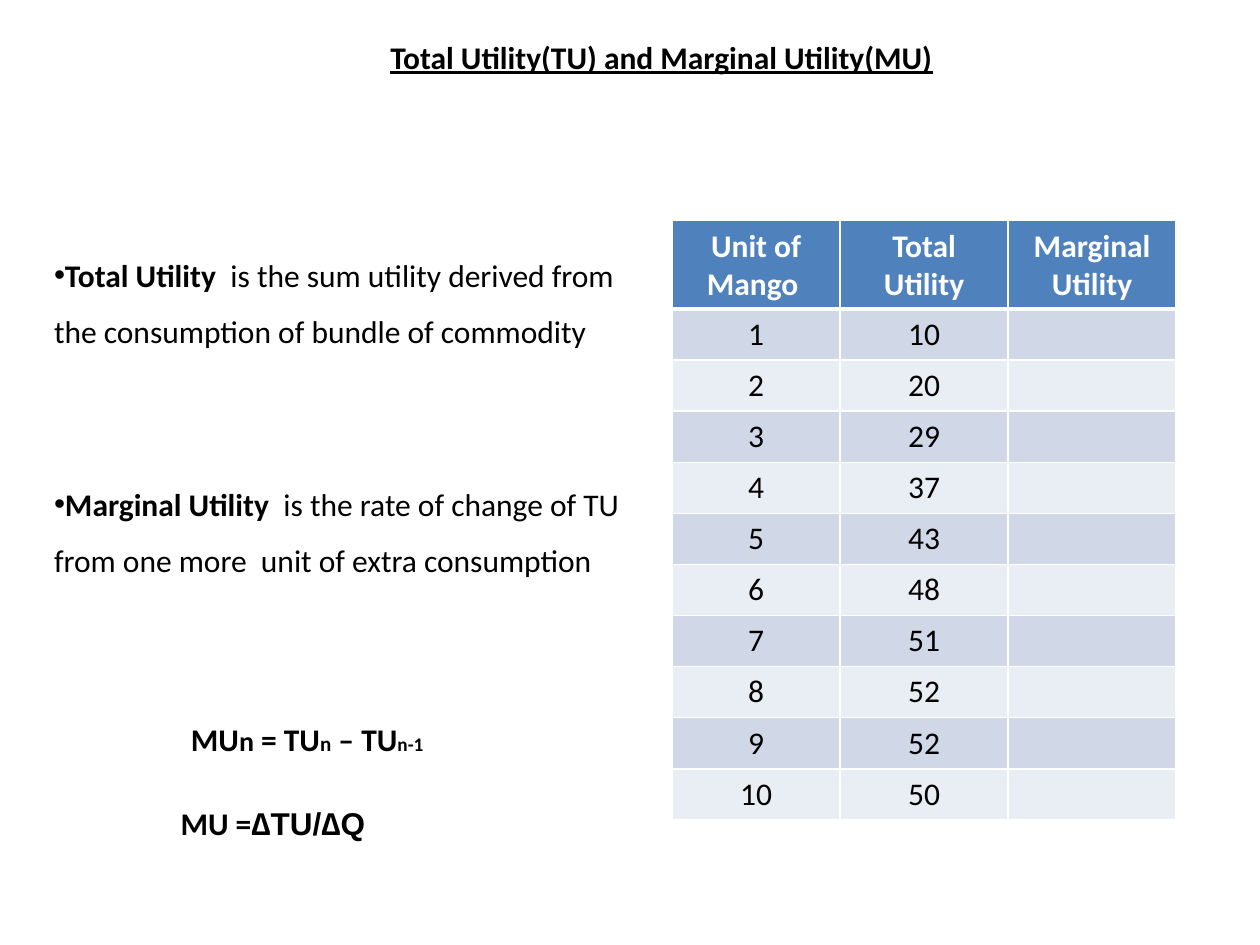
from lxml import etree
from pptx import Presentation
from pptx.dml.color import RGBColor
from pptx.enum import text as t
from pptx.oxml import ns
from pptx.util import Cm, Pt

BLACK, WHITE, BLUE = "000000", "FFFFFF", "4F81BD"
BANDS = ("D0D8E8", "E9EDF4")
HEADS = ("Unit of Mango ", "Total Utility", "Marginal Utility")
TOTALS = (10, 20, 29, 37, 43, 48, 51, 52, 52, 50)


def rgb(code):
    return RGBColor.from_string(code)


def style(run, size=18, bold=False, color=BLACK, face="Calibri"):
    font = run.font
    font.name, font.size, font.bold = face, Pt(size), bold
    font.color.rgb = rgb(color)


def write(para, parts):
    """Add runs from pairs of wording and style options."""
    for words, look in parts:
        run = para.add_run()
        run.text = words
        style(run, **look)


def add_box(slide, left, top, width, height, *paras):
    """Add a wrapping text box and return its paragraphs."""
    box = slide.shapes.add_textbox(Cm(left), Cm(top), Cm(width), Cm(height))
    frame = box.text_frame
    frame.word_wrap = True
    for i, parts in enumerate(paras):
        write(frame.add_paragraph() if i else frame.paragraphs[0], parts)
    return frame.paragraphs


def add_title(slide, words):
    para = add_box(slide, 0, 0.64, 25.4, 1.02, [(words, {"bold": True})])[0]
    para.alignment = t.PP_ALIGN.CENTER
    para.runs[0].font.underline = True
    props = para._p.get_or_add_pPr()
    props.set("marL", str(Cm(2.39)))
    props.set("indent", str(Cm(-1.12)))


def add_terms(slide, *terms):
    """Add bulleted definitions, each a bold term and its meaning."""
    paras = [[(term, {"bold": True}), (sense, {})] for term, sense in terms]
    for i, para in enumerate(add_box(slide, 0.84, 4.65, 12.07, 7.19, *paras)):
        para.line_spacing = 1.5
        if i:
            para.space_before = Pt(66)
        props = para._p.get_or_add_pPr()
        face = etree.SubElement(props, ns.qn("a:buFont"))
        face.set("typeface", "Arial")
        mark = etree.SubElement(props, ns.qn("a:buChar"))
        mark.set("char", "•")


def edge(cell, top, base):
    """Draw white borders, with top and base widths in points."""
    props = cell._tc.get_or_add_tcPr()
    for side, width in zip("LRTB", (1, 1, top, base)):
        line = etree.SubElement(props, ns.qn(f"a:ln{side}"), w=str(Pt(width)))
        fill = etree.SubElement(line, ns.qn("a:solidFill"))
        etree.SubElement(fill, ns.qn("a:srgbClr"), val=WHITE)


def add_grid(slide, rows):
    frame = slide.shapes.add_table(len(rows), len(HEADS), Cm(13.55), Cm(4.45),
                                   Cm(10.16), Cm(12.09))
    grid = frame.table
    for i, row in enumerate(rows):
        head = i == 0
        grid.rows[i].height = Cm(1.73 if head else 1.03)
        for j, words in enumerate(row):
            cell = grid.cell(i, j)
            edge(cell, 3 if i == 1 else 1, 3 if head else 1)
            cell.fill.solid()
            cell.fill.fore_color.rgb = rgb(BLUE if head else BANDS[(i - 1) % 2])
            para = cell.text_frame.paragraphs[0]
            para.alignment = t.PP_ALIGN.CENTER
            para.font.size = Pt(18)
            if words:
                write(para, [(words, {"bold": head,
                                      "color": WHITE if head else BLACK})])


def add_rule(slide, left, top, *parts):
    """Add a bold formula from triples of wording, size and typeface."""
    add_box(slide, left, top, 6.15, 1.02,
            [(words, {"size": size, "bold": True, "face": face})
             for words, size, face in parts])


def main():
    deck = Presentation()
    deck.slide_width, deck.slide_height = Cm(25.4), Cm(19.05)
    slide = deck.slides.add_slide(deck.slide_layouts[6])
    add_title(slide, "Total Utility(TU) and Marginal Utility(MU)")
    add_grid(slide, [HEADS] + [(str(n), str(total), "")
                               for n, total in enumerate(TOTALS, 1)])
    add_terms(
        slide,
        ("Total Utility ", " is the sum utility derived from the consumption "
                           "of bundle of commodity"),
        ("Marginal Utility  ", "is the rate of change of TU from one more  "
                               "unit of extra consumption"))
    sizes = (("MU", 18), ("n", 16), (" = TU", 18), ("n", 12), (" – TU", 18),
             ("n-1", 11))
    add_rule(slide, 3.6, 14.4, *[(*pair, "Calibri") for pair in sizes])
    add_rule(slide, 3.39, 16.09, ("MU =", 18, "Calibri"),
             ("∆TU/∆Q", 18, "Arial"))
    deck.save("out.pptx")


if __name__ == "__main__":
    main()
